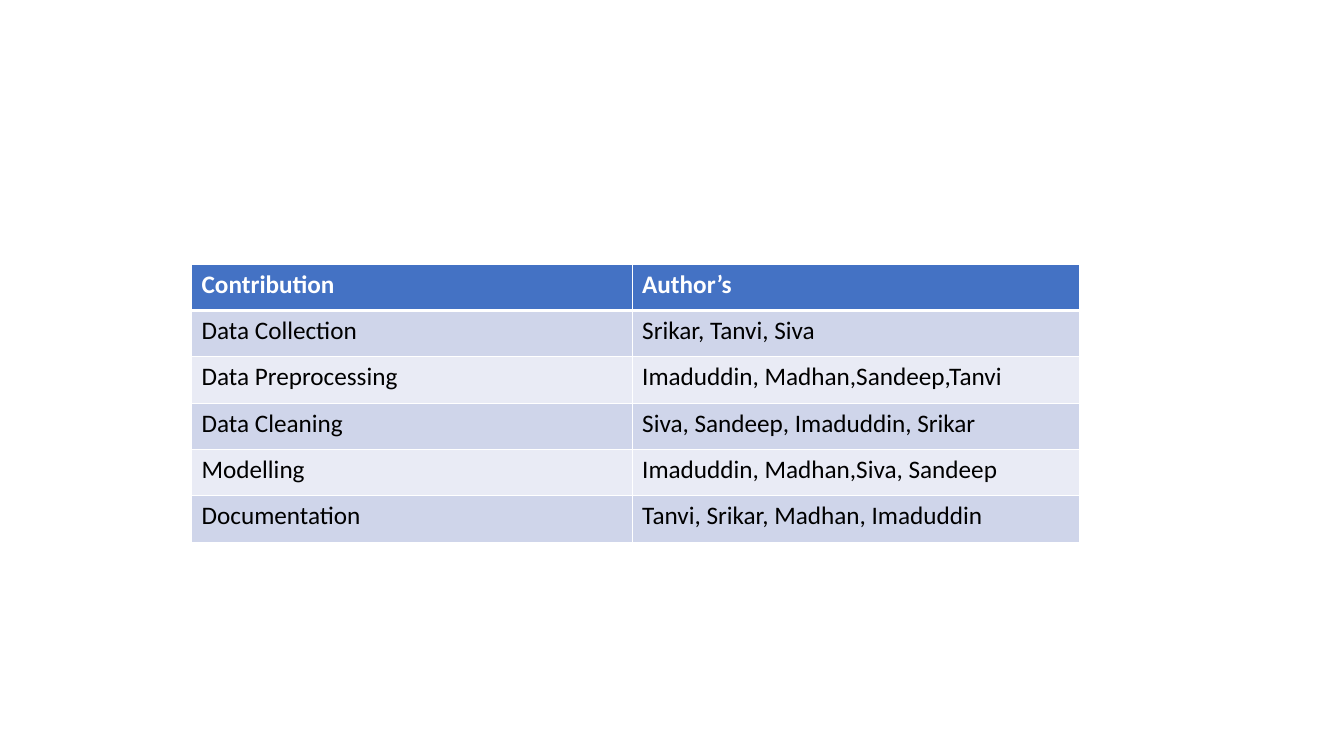
from lxml.etree import SubElement as Sub
from pptx import Presentation
from pptx.dml.color import RGBColor as RGB
from pptx.oxml.ns import qn
from pptx.util import Inches, Pt

WHITE = RGB(0xFF, 0xFF, 0xFF)
BLACK = RGB(0, 0, 0)
BLUE = RGB(0x44, 0x72, 0xC4)
BANDS = RGB(0xE9, 0xEB, 0xF5), RGB(0xCF, 0xD5, 0xEA)

WIDTHS = 4.37, 4.44
HEIGHT = 0.46
ROWS = [
    ("Contribution", "Author’s"),
    ("Data Collection", "Srikar, Tanvi, Siva"),
    ("Data Preprocessing", "Imaduddin, Madhan,Sandeep,Tanvi"),
    ("Data Cleaning", "Siva, Sandeep, Imaduddin, Srikar"),
    ("Modelling", "Imaduddin, Madhan,Siva, Sandeep"),
    ("Documentation", "Tanvi, Srikar, Madhan, Imaduddin"),
]


def add_edge(cell, side, width):
    """Draw one white border of a cell."""
    props = cell._tc.get_or_add_tcPr()
    line = Sub(props, qn(f"a:ln{side}"), w=str(Pt(width)))
    fill = Sub(line, qn("a:solidFill"))
    Sub(fill, qn("a:srgbClr"), val=str(WHITE))


def fill_cell(cell, text, row):
    """Write and style one cell according to its row."""
    head = row == 0
    edges = {"L": 1, "R": 1, "T": 3 if row == 1 else 1, "B": 3 if head else 1}
    for side, width in edges.items():
        add_edge(cell, side, width)
    cell.fill.solid()
    cell.fill.fore_color.rgb = BLUE if head else BANDS[row % 2]
    cell.text = text
    font = cell.text_frame.paragraphs[0].font
    font.name = "Calibri"
    font.size = Pt(18)
    font.bold = head
    font.color.rgb = WHITE if head else BLACK


def add_grid(slide, left, top):
    """Place the table of contributions."""
    frame = slide.shapes.add_table(
        len(ROWS), len(WIDTHS), Inches(left), Inches(top),
        Inches(sum(WIDTHS)), Inches(HEIGHT * len(ROWS)))
    table = frame.table
    for col, width in zip(table.columns, WIDTHS):
        col.width = Inches(width)
    for row, texts in enumerate(ROWS):
        table.rows[row].height = Inches(HEIGHT)
        for col, text in enumerate(texts):
            fill_cell(table.cell(row, col), text, row)


def main():
    """Build and save the slide."""
    deck = Presentation()
    deck.slide_width = Inches(13.33)
    deck.slide_height = Inches(7.5)
    slide = deck.slides.add_slide(deck.slide_layouts[6])
    add_grid(slide, 1.9, 2.62)
    deck.save("out.pptx")


if __name__ == "__main__":
    main()
